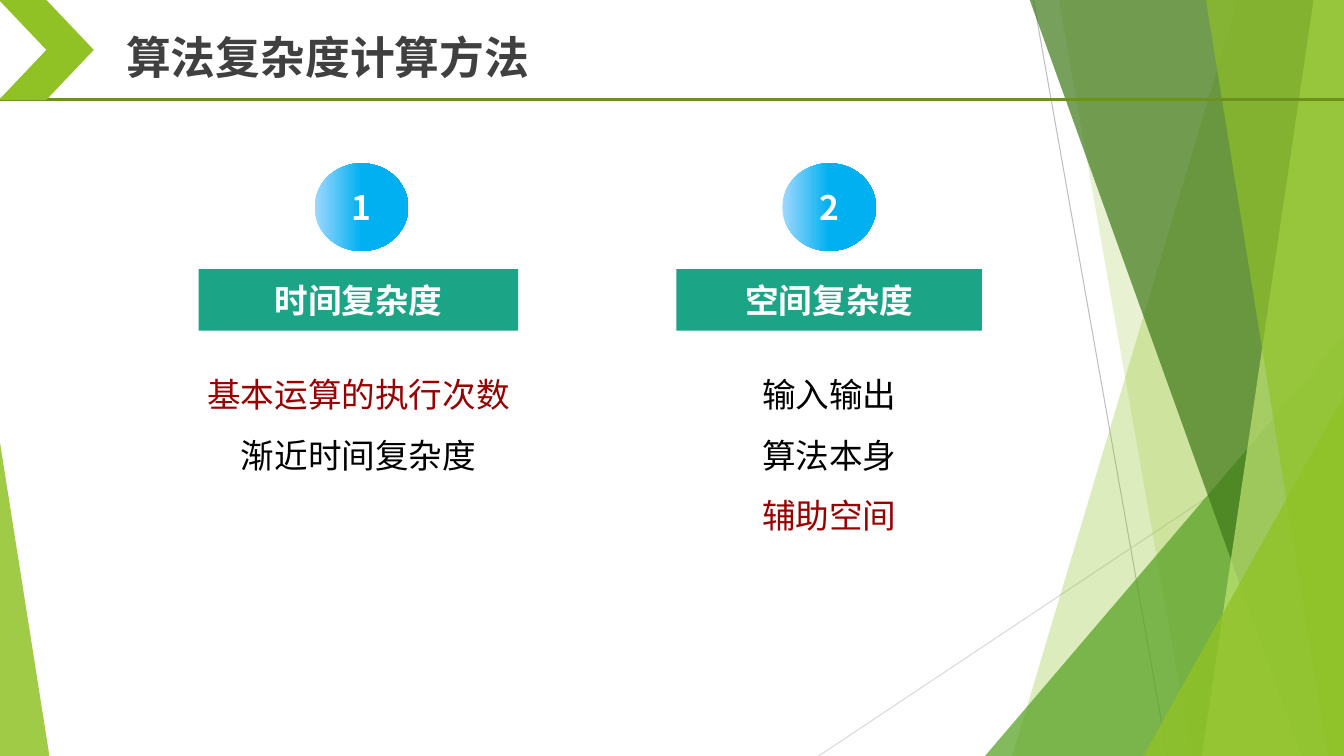
from dataclasses import dataclass

import pptx
import pptx.dml.color
import pptx.dml.fill
import pptx.enum.shapes
import pptx.enum.text
import pptx.oxml
import pptx.oxml.ns
import pptx.shapes.autoshape
import pptx.shapes.base
import pptx.slide
import pptx.text.text
import pptx.util
from lxml import etree
from pptx.dml.color import RGBColor
from pptx.enum.shapes import MSO_SHAPE
from pptx.enum.text import MSO_ANCHOR, MSO_AUTO_SIZE, PP_ALIGN

PX = 9144  # EMU in one px, 100 px to the inch
WIDTH, HEIGHT = 1333, 750
FONT = "Noto Sans CJK SC"

WHITE = RGBColor(0xFF, 0xFF, 0xFF)
BLACK = RGBColor(0x00, 0x00, 0x00)
CHARCOAL = RGBColor(0x40, 0x40, 0x40)
SILVER = RGBColor(0xBF, 0xBF, 0xBF)
PALE_GRAY = RGBColor(0xD9, 0xD9, 0xD9)
LIME = RGBColor(0x90, 0xC2, 0x26)
PALE_LIME = RGBColor(0xC0, 0xE4, 0x74)
GREEN = RGBColor(0x54, 0xA0, 0x21)
DARK_GREEN = RGBColor(0x3F, 0x78, 0x19)
OLIVE = RGBColor(0x6C, 0x92, 0x1D)
TEAL = RGBColor(0x1B, 0xA4, 0x86)
SKY = RGBColor(0x9F, 0xD8, 0xFF)
BLUE = RGBColor(0x00, 0xB0, 0xF0)
RED = RGBColor(0x99, 0x00, 0x00)


@dataclass(frozen=True)
class Box:
    left: int
    top: int
    width: int
    height: int


@dataclass(frozen=True)
class Rule:
    start: tuple[int, int]
    end: tuple[int, int]
    color: RGBColor
    points: float


@dataclass(frozen=True)
class Band:
    """A full-height facet from a slanted left side to the right slide edge."""
    top_left: int
    bottom_left: int
    color: RGBColor
    opacity: int


@dataclass(frozen=True)
class Wedge:
    box: Box
    apex: float
    color: RGBColor
    opacity: int


@dataclass(frozen=True)
class Topic:
    number: str
    heading: str
    circle: Box
    banner: Box
    list_box: Box
    lines: tuple[tuple[str, RGBColor], ...]


RULES = (
    Rule((1025, 0), (1158, HEIGHT), SILVER, 0.75),
    Rule((WIDTH, 403), (812, HEIGHT), PALE_GRAY, 0.75),
    Rule((0, 99), (WIDTH, 99), OLIVE, 2.25),
)
FACETS = (
    Band(1228, 1004, LIME, 30),
    Band(1050, 1182, LIME, 20),
    Wedge(Box(977, 333, 356, 417), 1, GREEN, 72),
    Band(1021, 1291, DARK_GREEN, 70),
    Band(1303, 1192, PALE_LIME, 70),
    Band(1196, 1317, LIME, 65),
    Wedge(Box(1134, 393, 199, 357), 1, LIME, 80),
    Wedge(Box(0, 439, 49, 311), 0, LIME, 85),
)
TOPICS = (
    Topic("1", "时间复杂度", Box(312, 162, 93, 87), Box(197, 267, 317, 61),
          Box(194, 346, 323, 124),
          (("基本运算的执行次数", RED), ("渐近时间复杂度", BLACK))),
    Topic("2", "空间复杂度", Box(776, 162, 93, 87), Box(671, 267, 303, 61),
          Box(745, 346, 155, 185),
          (("输入输出", BLACK), ("算法本身", BLACK), ("辅助空间", RED))),
)


def emu(box: Box) -> tuple[int, int, int, int]:
    return box.left * PX, box.top * PX, box.width * PX, box.height * PX


def place(shape: pptx.shapes.base.BaseShape, box: Box) -> None:
    shape.left, shape.top, shape.width, shape.height = emu(box)


def format_paragraph(paragraph: pptx.text.text._Paragraph, size: int, color: RGBColor,
                     bold: bool, alignment: PP_ALIGN) -> None:
    paragraph.alignment = alignment
    for run in paragraph.runs:
        run.font.size = pptx.util.Pt(size)
        run.font.bold = bold
        run.font.color.rgb = color
        run.font.name = FONT
        east_asian = etree.SubElement(run.font._element, pptx.oxml.ns.qn("a:ea"))
        east_asian.set("typeface", FONT)


def paint(shape: pptx.shapes.autoshape.Shape, color: RGBColor, opacity: int = 100) -> None:
    shape.shadow.inherit = False
    shape.line.fill.background()
    shape.fill.solid()
    shape.fill.fore_color.rgb = color
    if opacity < 100:
        color_element = shape._element.spPr.find(".//" + pptx.oxml.ns.qn("a:srgbClr"))
        alpha = etree.SubElement(color_element, pptx.oxml.ns.qn("a:alpha"))
        alpha.set("val", str(opacity * 1000))


def add_rule(slide: pptx.slide.Slide, rule: Rule) -> None:
    ends = (value * PX for value in rule.start + rule.end)
    connector = slide.shapes.add_connector(pptx.enum.shapes.MSO_CONNECTOR.STRAIGHT, *ends)
    connector.line.color.rgb = rule.color
    connector.line.width = pptx.util.Pt(rule.points)
    etree.SubElement(connector._element.spPr, pptx.oxml.ns.qn("a:effectLst"))


def add_facet(slide: pptx.slide.Slide, facet: Band | Wedge) -> None:
    if isinstance(facet, Band):
        builder = slide.shapes.build_freeform(facet.top_left, -1, scale=PX)
        builder.add_line_segments(
            [(WIDTH, -1), (WIDTH, HEIGHT), (facet.bottom_left, HEIGHT)], close=True)
        shape = builder.convert_to_shape()
    else:
        shape = slide.shapes.add_shape(MSO_SHAPE.ISOSCELES_TRIANGLE, *emu(facet.box))
        shape.adjustments[0] = facet.apex
    paint(shape, facet.color, facet.opacity)


def add_label(slide: pptx.slide.Slide, kind: MSO_SHAPE, box: Box, text: str,
              color: RGBColor) -> pptx.shapes.autoshape.Shape:
    shape = slide.shapes.add_shape(kind, *emu(box))
    paint(shape, color)
    shape.text_frame.text = text
    shape.text_frame.vertical_anchor = MSO_ANCHOR.MIDDLE
    format_paragraph(shape.text_frame.paragraphs[0], 24, WHITE, True, PP_ALIGN.CENTER)
    return shape


def fill_list(placeholder: pptx.shapes.autoshape.Shape, topic: Topic) -> None:
    place(placeholder, topic.list_box)
    frame = placeholder.text_frame
    frame.text = "\n".join(text for text, _ in topic.lines)
    frame.word_wrap = False
    frame.auto_size = MSO_AUTO_SIZE.NONE
    frame.vertical_anchor = MSO_ANCHOR.TOP
    for paragraph, (_, color) in zip(frame.paragraphs, topic.lines):
        format_paragraph(paragraph, 24, color, False, PP_ALIGN.CENTER)
        paragraph.line_spacing = 1.5
        paragraph.space_before = pptx.util.Pt(0)
        properties = paragraph._p.get_or_add_pPr()
        properties.set("marL", "0")
        properties.set("indent", "0")
        etree.SubElement(properties, pptx.oxml.ns.qn("a:buNone"))


def add_topic(slide: pptx.slide.Slide, topic: Topic) -> None:
    add_label(slide, MSO_SHAPE.RECTANGLE, topic.banner, topic.heading, TEAL)
    circle = add_label(slide, MSO_SHAPE.OVAL, topic.circle, topic.number, BLUE)
    circle.fill.gradient()
    circle.fill.gradient_angle = 0
    for stop, position, color in zip(circle.fill.gradient_stops, (0, 0.5), (SKY, BLUE)):
        stop.position = position
        stop.color.rgb = color


def main() -> None:
    presentation = pptx.Presentation()
    presentation.slide_width, presentation.slide_height = WIDTH * PX, HEIGHT * PX
    two_content = presentation.slide_layouts[3]
    slide = presentation.slides.add_slide(two_content)
    for facet_rule in RULES[:2]:
        add_rule(slide, facet_rule)
    for facet in FACETS:
        add_facet(slide, facet)
    add_rule(slide, RULES[2])
    paint(slide.shapes.add_shape(MSO_SHAPE.CHEVRON, *emu(Box(-1, 0, 94, 99))), LIME)

    title = slide.shapes.title
    place(title, Box(115, 24, 433, 64))
    title.text_frame.text = "算法复杂度计算方法"
    title.text_frame.auto_size = MSO_AUTO_SIZE.NONE
    title.text_frame.vertical_anchor = MSO_ANCHOR.MIDDLE
    format_paragraph(title.text_frame.paragraphs[0], 32, CHARCOAL, True, PP_ALIGN.LEFT)
    for index, topic in enumerate(TOPICS, start=1):
        add_topic(slide, topic)
        fill_list(slide.placeholders[index], topic)
    presentation.save("out.pptx")


if __name__ == "__main__":
    main()
